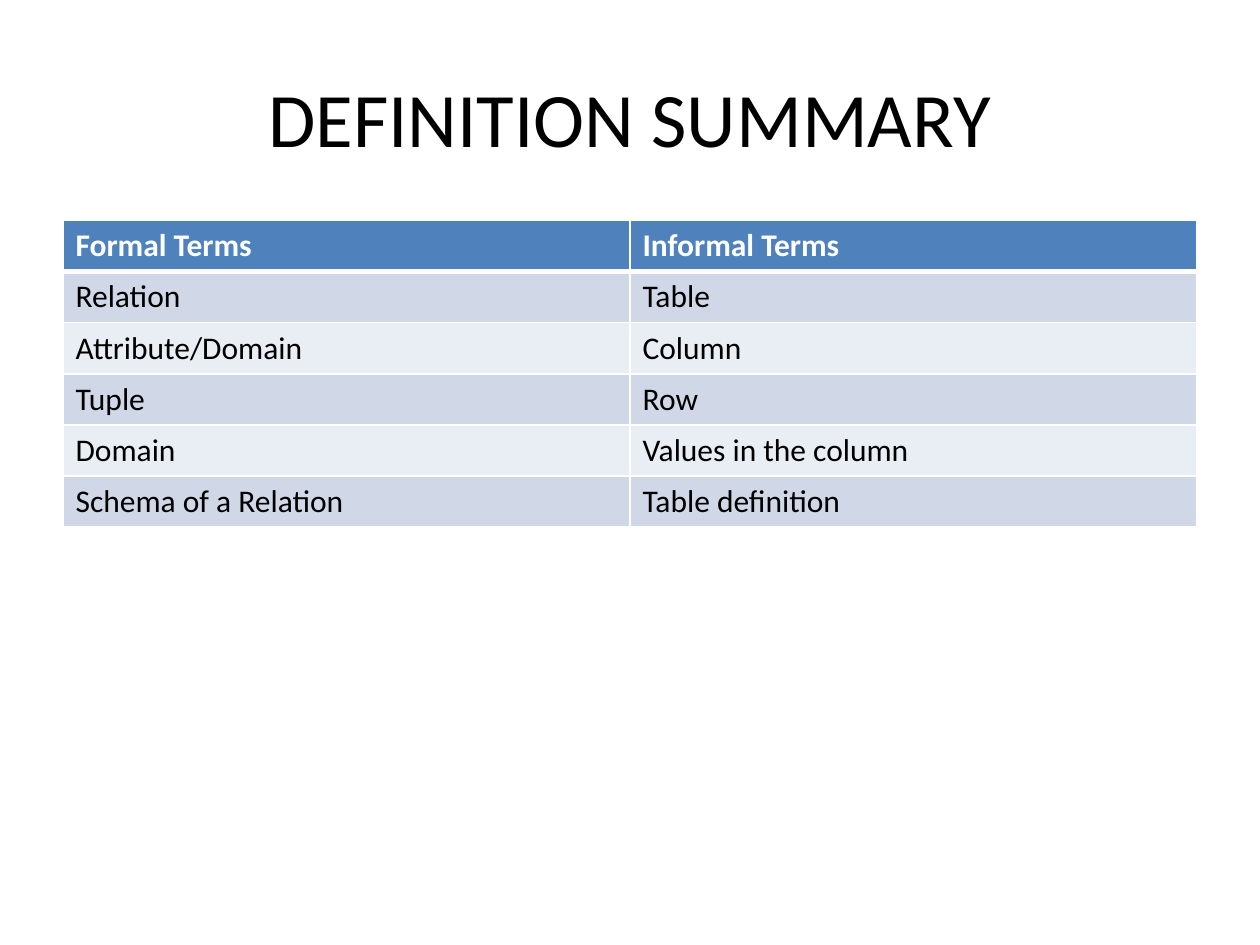
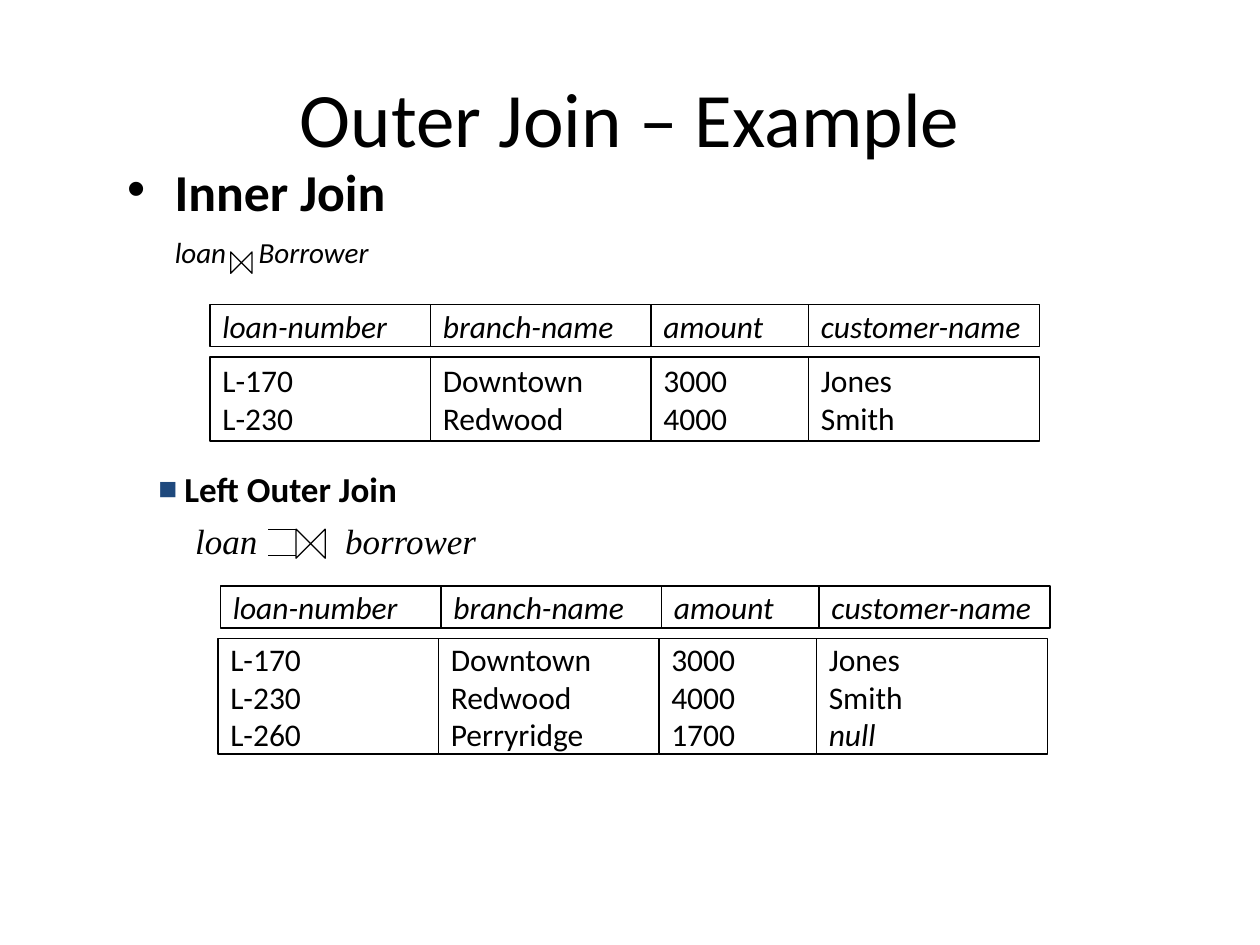
"""Build two slides: relational terms and an outer join example."""
from itertools import accumulate

from lxml import etree
from pptx import Presentation
from pptx.dml.color import RGBColor
from pptx.enum import shapes, text
from pptx.oxml import ns
from pptx.util import Pt

BLACK = RGBColor(0x00, 0x00, 0x00)
WHITE = RGBColor(0xFF, 0xFF, 0xFF)
HEADER_BLUE = RGBColor(0x4F, 0x81, 0xBD)
BANDS = RGBColor(0xD0, 0xD8, 0xE8), RGBColor(0xE9, 0xED, 0xF4)
BULLET_BLUE = RGBColor(0x1F, 0x49, 0x7D)

TITLE_BOX = 36, 21.6, 648, 90
TITLE = dict(name="Calibri", size=Pt(44))
CELL = dict(name="Calibri", size=Pt(18))
HEADING = dict(name="Calibri", size=Pt(29.6), bold=True)
SUBHEADING = dict(name="Calibri", size=Pt(20), bold=True)
INNER_FORMULA = dict(name="Calibri", size=Pt(16.6), italic=True)
OUTER_FORMULA = dict(name="Times New Roman", size=Pt(20), italic=True)

TERMS = [
    ("Formal Terms", "Informal Terms"),
    ("Relation", "Table"),
    ("Attribute/Domain", "Column"),
    ("Tuple", "Row"),
    ("Domain", "Values in the column"),
    ("Schema of a Relation", "Table definition"),
]
ROW_H = 29.2

COLUMNS = ["loan-number", "branch-name", "amount", "customer-name"]
COLUMN_W = [126, 126, 90, 132]
INNER_ROWS = [("L-170", "Downtown", "3000", "Jones"),
              ("L-230", "Redwood", "4000", "Smith")]
OUTER_ROWS = INNER_ROWS + [("L-260", "Perryridge", "1700", "null")]
ITALIC_WORDS = {*COLUMNS, "null"}
BANDS_OF_BOXES = [
    (120, 174, 24, [COLUMNS]),
    (120, 204, 48, INNER_ROWS),
    (126, 334.8, 24, [COLUMNS]),
    (124.5, 365, 66, OUTER_ROWS),
]
FORMULAS = [
    ("loan\tBorrower", (92.8, 130.3, 200, 28), 48, INNER_FORMULA),
    ("loan\tborrower", (104.4, 293.5, 281.5, 32.4), 85.7, OUTER_FORMULA),
]
BOWTIES = [(131.8, 144, 12.2), (169.2, 302.4, 16.6)]
JOIN_BARS_Y = [302.4, 317.5]
JOIN_BARS_X = 153.4, 169.2


def add_xml(parent, tag, **attrs):
    return etree.SubElement(parent, ns.qn(tag), {k: str(v) for k, v in attrs.items()})


def place(sp, *box):
    for side, value in zip(("left", "top", "width", "height"), box):
        setattr(sp, side, Pt(value))


def write(p, words, fmt, color=BLACK):
    r = p.add_run()
    r.text = words
    for key, value in fmt.items():
        setattr(r.font, key, value)
    r.font.color.rgb = color


def add_bullet(p, char, margin, color=BLACK, percent=100):
    pPr = p._p.get_or_add_pPr()
    pPr.set("marL", str(Pt(margin)))
    pPr.set("indent", str(Pt(-margin)))
    add_xml(add_xml(pPr, "a:buClr"), "a:srgbClr", val=color)
    add_xml(pPr, "a:buSzPct", val=percent * 1000)
    add_xml(pPr, "a:buFont", typeface="Arial")
    add_xml(pPr, "a:buChar", char=char)


def add_tab(p, position):
    pPr = p._p.get_or_add_pPr()
    pPr.set("defTabSz", str(Pt(position)))
    add_xml(add_xml(pPr, "a:tabLst"), "a:tab", pos=Pt(position), algn="l")


def add_titled_slide(prs, layout, title):
    s = prs.slides.add_slide(prs.slide_layouts[layout])
    sp = s.shapes.title
    place(sp, *TITLE_BOX)
    sp.text_frame.vertical_anchor = text.MSO_ANCHOR.MIDDLE
    p = sp.text_frame.paragraphs[0]
    p.alignment = text.PP_ALIGN.CENTER
    write(p, title, TITLE)
    return s


def add_text(s, *box):
    sp = s.shapes.add_textbox(*map(Pt, box))
    sp.text_frame.word_wrap = True
    return sp.text_frame.paragraphs[0]


def outline(sp):
    sp.shadow.inherit = False
    sp.fill.solid()
    sp.fill.fore_color.rgb = WHITE
    sp.line.color.rgb = BLACK
    sp.line.width = Pt(0.75)


def border(cell, bottom):
    tcPr = cell._tc.get_or_add_tcPr()
    for i, (side, width) in enumerate(zip("LRTB", (1, 1, 1, bottom))):
        ln = etree.Element(ns.qn(f"a:ln{side}"), w=str(Pt(width)))
        add_xml(add_xml(ln, "a:solidFill"), "a:srgbClr", val=WHITE)
        tcPr.insert(i, ln)


def add_terms_table(s):
    table = s.shapes.add_table(len(TERMS), 2, Pt(36), Pt(126), Pt(648),
                               Pt(ROW_H * len(TERMS))).table
    for i, terms in enumerate(TERMS):
        table.rows[i].height = Pt(ROW_H)
        header = i == 0
        for cell, term in zip(table.rows[i].cells, terms):
            cell.fill.solid()
            cell.fill.fore_color.rgb = HEADER_BLUE if header else BANDS[(i - 1) % 2]
            border(cell, 3 if header else 1)
            write(cell.text_frame.paragraphs[0], term, CELL | {"bold": header},
                  WHITE if header else BLACK)


def add_column_boxes(s, left, top, height, rows):
    lefts = accumulate(COLUMN_W, initial=left)
    for x, width, values in zip(lefts, COLUMN_W, zip(*rows)):
        sp = s.shapes.add_shape(shapes.MSO_SHAPE.RECTANGLE,
                                Pt(x), Pt(top), Pt(width), Pt(height))
        outline(sp)
        tf = sp.text_frame
        tf.word_wrap = False
        tf.vertical_anchor = text.MSO_ANCHOR.MIDDLE
        for i, value in enumerate(values):
            p = tf.add_paragraph() if i else tf.paragraphs[0]
            p.alignment = text.PP_ALIGN.LEFT
            write(p, value, CELL | {"italic": value in ITALIC_WORDS})


def add_headings(s):
    sp = s.placeholders[1]
    place(sp, 65.5, 97.2, 563.8, 33)
    sp.text_frame.auto_size = text.MSO_AUTO_SIZE.NONE
    p = sp.text_frame.paragraphs[0]
    p.line_spacing, p.space_before = 0.7, Pt(0)
    add_bullet(p, "•", 27)
    write(p, "Inner Join", HEADING)
    p = add_text(s, 83.5, 263.5, 175.7, 31)
    add_bullet(p, "■", 14.8, BULLET_BLUE, 90)
    write(p, "Left Outer Join", SUBHEADING)


def add_formulas(s):
    for words, box, tab, fmt in FORMULAS:
        p = add_text(s, *box)
        add_tab(p, tab)
        write(p, words, fmt)


def add_join_signs(s):
    for x, y, size in BOWTIES:
        sp = s.shapes.add_shape(shapes.MSO_SHAPE.FLOWCHART_COLLATE,
                                Pt(x), Pt(y), Pt(size), Pt(size))
        sp.rotation = 90
        outline(sp)
    start, end = map(Pt, JOIN_BARS_X)
    for y in map(Pt, JOIN_BARS_Y):
        bar = s.shapes.add_connector(shapes.MSO_CONNECTOR.STRAIGHT, start, y, end, y)
        bar.line.color.rgb = BLACK
        bar.line.width = Pt(0.75)
        add_xml(bar._element.spPr, "a:effectLst")


def main():
    prs = Presentation()
    prs.slide_width, prs.slide_height = Pt(720), Pt(540)
    add_terms_table(add_titled_slide(prs, 5, "DEFINITION SUMMARY"))
    s = add_titled_slide(prs, 1, "Outer Join – Example")
    add_headings(s)
    add_formulas(s)
    for band in BANDS_OF_BOXES:
        add_column_boxes(s, *band)
    add_join_signs(s)
    prs.save("out.pptx")


if __name__ == "__main__":
    main()
